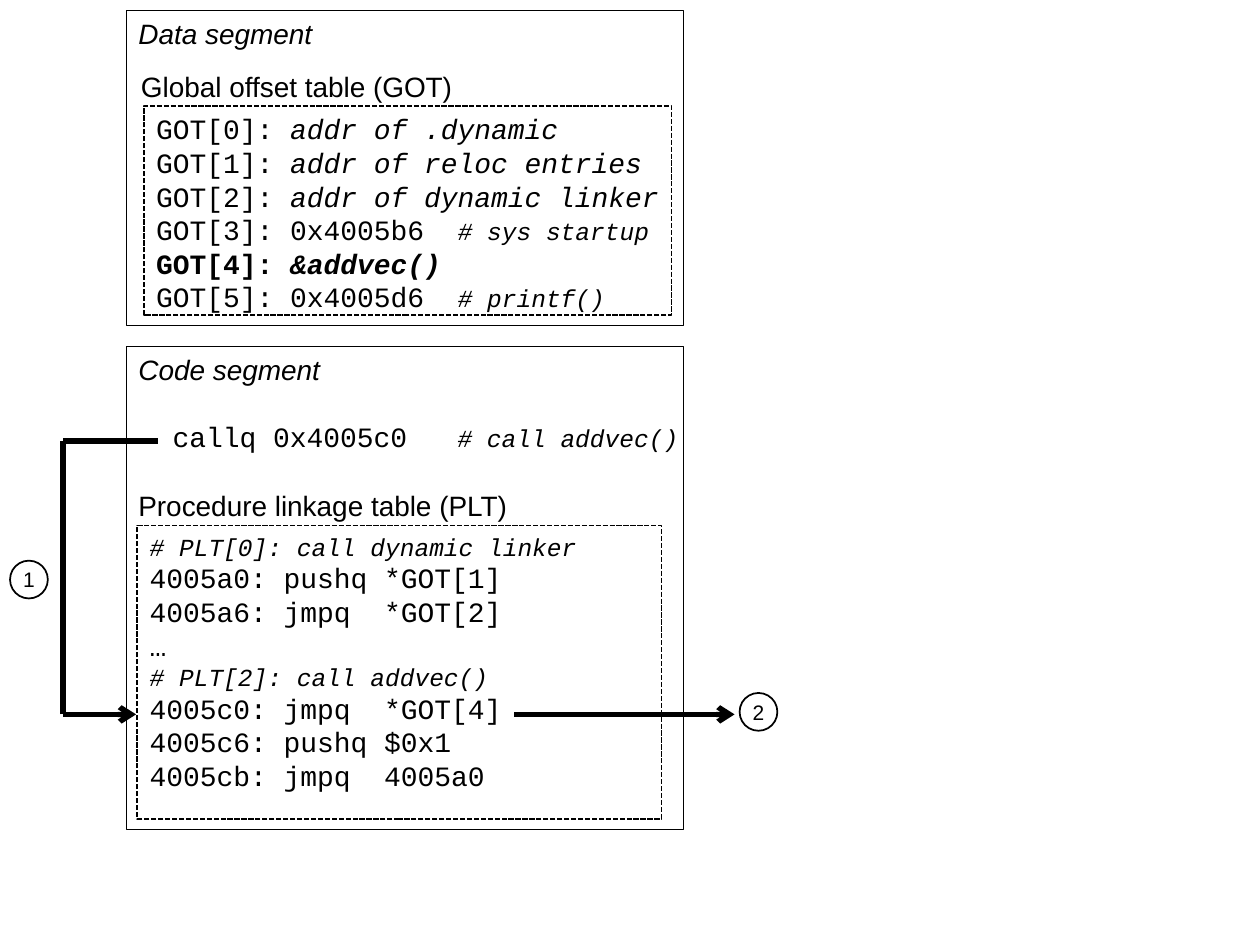
import pptx
import pptx.dml.color
import pptx.enum.dml
import pptx.enum.shapes
import pptx.enum.text
import pptx.oxml
import pptx.util
from dataclasses import dataclass
from typing import NamedTuple, Optional

Inches = pptx.util.Inches
Shapes = pptx.enum.shapes.MSO_SHAPE
Align = pptx.enum.text.PP_ALIGN
Anchor = pptx.enum.text.MSO_ANCHOR


@dataclass(frozen=True)
class Theme:
    ink: pptx.dml.color.RGBColor = pptx.dml.color.RGBColor(0, 0, 0)
    paper: pptx.dml.color.RGBColor = pptx.dml.color.RGBColor(255, 255, 255)
    sans: str = "Arial"
    mono: str = "Courier New"
    body: int = 16
    comment: int = 14
    badge: int = 12
    frame_line: float = 0.25
    outline: float = 1
    flow_line: float = 3


class Span(NamedTuple):
    text: str
    size: int
    italic: bool = False
    bold: bool = False


class Area(NamedTuple):
    left: float
    top: float
    width: float
    height: float


class Label(NamedTuple):
    text: str
    area: Area
    italic: bool = False


class Flow(NamedTuple):
    start: tuple[float, float]
    end: tuple[float, float]
    arrow: bool = False


THEME = Theme()


def code(text: str, italic: bool = False, bold: bool = False) -> Span:
    return Span(text, THEME.body, italic, bold)


def comment(text: str) -> Span:
    return Span(text, THEME.comment, italic=True)


def style_font(font, span: Span) -> None:
    font.size = pptx.util.Pt(span.size)
    font.italic = span.italic
    font.bold = span.bold


def write(frame, lines: list[list[Span]], face: str, align=Align.LEFT) -> None:
    """Write one paragraph per line, styling spans only where they differ."""
    frame.word_wrap = False
    for index, spans in enumerate(lines):
        para = frame.add_paragraph() if index else frame.paragraphs[0]
        para.alignment = align
        para.font.name = face
        para.font.color.rgb = THEME.ink
        if len(spans) == 1:
            style_font(para.font, spans[0])
        for span in spans:
            run = para.add_run()
            run.text = span.text
            if len(spans) > 1:
                style_font(run.font, span)


def add_box(slide, area: Area, line_width: float, kind=Shapes.RECTANGLE,
            filled: bool = False, dashed: bool = False):
    box = slide.shapes.add_shape(kind, *map(Inches, area))
    box.shadow.inherit = False
    if filled:
        box.fill.solid()
        box.fill.fore_color.rgb = THEME.paper
    else:
        box.fill.background()
    box.line.color.rgb = THEME.ink
    box.line.width = pptx.util.Pt(line_width)
    if dashed:
        box.line.dash_style = pptx.enum.dml.MSO_LINE.SQUARE_DOT
    box.text_frame.vertical_anchor = Anchor.TOP
    return box


def add_segment(slide, area: Area, lines: Optional[list[list[Span]]] = None) -> None:
    box = add_box(slide, area, THEME.frame_line, filled=True)
    if lines:
        box.text_frame.margin_left = Inches(0.37)
        box.text_frame.margin_top = Inches(0.58)
        write(box.text_frame, lines, THEME.mono)


def add_listing(slide, area: Area, lines: list[list[Span]]) -> None:
    box = add_box(slide, area, THEME.outline, dashed=True)
    write(box.text_frame, lines, THEME.mono)


def add_label(slide, label: Label) -> None:
    box = slide.shapes.add_textbox(*map(Inches, label.area))
    write(box.text_frame, [[Span(label.text, THEME.body, label.italic)]], THEME.sans)
    box.text_frame.auto_size = pptx.enum.text.MSO_AUTO_SIZE.SHAPE_TO_FIT_TEXT


def add_badge(slide, number: int, left: float, top: float) -> None:
    badge = add_box(slide, Area(left, top, 0.3, 0.3), THEME.outline, Shapes.OVAL)
    badge.text_frame.vertical_anchor = Anchor.MIDDLE
    write(badge.text_frame, [[Span(str(number), THEME.badge)]], THEME.sans, Align.CENTER)


def add_flow(slide, flow: Flow) -> None:
    line = slide.shapes.add_connector(
        pptx.enum.shapes.MSO_CONNECTOR.STRAIGHT, *map(Inches, flow.start + flow.end))
    line.line.color.rgb = THEME.ink
    line.line.width = pptx.util.Pt(THEME.flow_line)
    if flow.arrow:
        tail = pptx.oxml.parse_xml(
            '<a:tailEnd xmlns:a="http://schemas.openxmlformats.org/drawingml/2006/main"'
            ' type="arrow"/>')
        line.line._get_or_add_ln().append(tail)
    effects = pptx.oxml.parse_xml(
        '<a:effectLst xmlns:a="http://schemas.openxmlformats.org/drawingml/2006/main"/>')
    line._element.spPr.append(effects)


CALL = [[code("callq 0x4005c0   "), comment("# call addvec()")]]
GOT = [
    [code("GOT[0]: "), code("addr of .dynamic", italic=True)],
    [code("GOT[1]: "), code("addr of reloc entries", italic=True)],
    [code("GOT[2]: "), code("addr of dynamic linker", italic=True)],
    [code("GOT[3]: 0x4005b6  "), comment("# sys startup")],
    [code("GOT[4]: ", bold=True), code("&addvec()", italic=True, bold=True)],
    [code("GOT[5]: 0x4005d6  "), comment("# printf()")],
]
PLT = [
    [comment("# PLT[0]: call dynamic linker")],
    [code("4005a0: pushq *GOT[1]")],
    [code("4005a6: jmpq  *GOT[2]")],
    [code("…")],
    [comment("# PLT[2]: call addvec()")],
    [code("4005c0: jmpq  *GOT[4]")],
    [code("4005c6: pushq $0x1")],
    [code("4005cb: jmpq  4005a0")],
]
LABELS = [
    Label("Data segment", Area(1, 0.08, 1.65, 0.37), italic=True),
    Label("Global offset table (GOT)", Area(1.02, 0.5, 2.71, 0.37)),
    Label("Code segment", Area(1, 2.75, 1.71, 0.37), italic=True),
    Label("Procedure linkage table (PLT)", Area(1, 3.83, 3.17, 0.37)),
]
FLOWS = [
    Flow((1.25, 3.5), (0.5, 3.5)),
    Flow((0.5, 5.67), (0.5, 3.5)),
    Flow((0.5, 5.67), (1.08, 5.67), arrow=True),
    Flow((4.08, 5.67), (5.83, 5.67), arrow=True),
]


def main() -> None:
    deck = pptx.Presentation()
    deck.slide_width, deck.slide_height = Inches(10), Inches(7.5)
    page = deck.slides.add_slide(deck.slide_layouts[6])

    # Segments and their tables
    add_segment(page, Area(1, 2.75, 4.42, 3.83), CALL)
    add_segment(page, Area(1, 0.08, 4.42, 2.5))
    add_listing(page, Area(1.14, 0.84, 4.19, 1.66), GOT)
    add_listing(page, Area(1.09, 4.17, 4.16, 2.33), PLT)
    for label in LABELS:
        add_label(page, label)

    # Control flow and its numbered steps
    for flow in FLOWS:
        add_flow(page, flow)
    add_badge(page, 1, 0.08, 4.45)
    add_badge(page, 2, 5.87, 5.5)

    deck.save("out.pptx")


if __name__ == "__main__":
    main()
